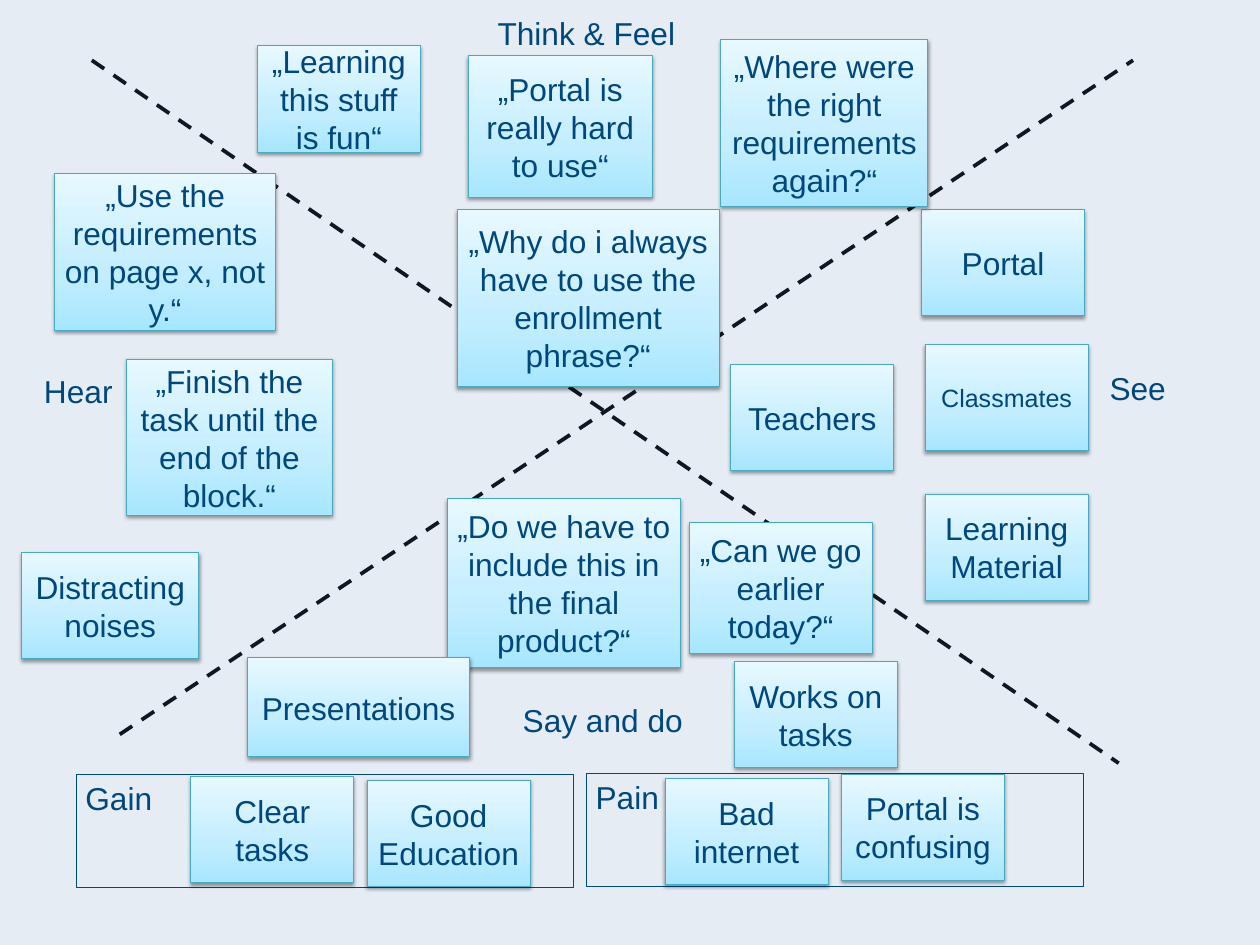
from copy import deepcopy
from lxml import etree
from pptx import Presentation
from pptx.dml.color import RGBColor
from pptx.enum.dml import MSO_LINE
from pptx.enum.shapes import MSO_CONNECTOR, MSO_SHAPE
from pptx.enum.text import MSO_ANCHOR, PP_ALIGN
from pptx.oxml import parse_xml
from pptx.oxml.ns import qn
from pptx.util import Inches, Pt

RECT = MSO_SHAPE.RECTANGLE
STRAIGHT = MSO_CONNECTOR.STRAIGHT
DASH = MSO_LINE.DASH
TOP, MIDDLE = MSO_ANCHOR.TOP, MSO_ANCHOR.MIDDLE
LEFT, CENTER = PP_ALIGN.LEFT, PP_ALIGN.CENTER

PAPER = RGBColor(0xE5, 0xEC, 0xF3)
INK = RGBColor(0x0F, 0x18, 0x20)
NAVY = RGBColor(0x00, 0x47, 0x7E)
TEAL = RGBColor(0x46, 0xAA, 0xC5)
DEEP = RGBColor(0xA7, 0xE6, 0xFF)
MID = RGBColor(0xC1, 0xED, 0xFF)
PALE = RGBColor(0xE7, 0xF8, 0xFF)

SHADE = (
    '<a:outerShdw xmlns:a="http://schemas.openxmlformats.org/drawingml/2006/main"'
    ' blurRad="39400" dist="20300" dir="5400000" rotWithShape="0">'
    '<a:srgbClr val="000000"><a:alpha val="38000"/></a:srgbClr></a:outerShdw>'
)

deck = Presentation()
deck.slide_width, deck.slide_height = Inches(14), Inches(10.5)
slide = deck.slides.add_slide(deck.slide_layouts[6])
slide.background.fill.solid()
slide.background.fill.fore_color.rgb = PAPER
shapes = slide.shapes

# The slide is a grid of 140 columns by 105 rows.
COL, ROW = deck.slide_width / 140, deck.slide_height / 105


def place(x, y, wide, high):
    """Turn grid columns and rows into slide lengths."""
    return [round(n * unit) for n, unit in zip((x, y, wide, high), (COL, ROW, COL, ROW))]


def write(shape, text, align, anchor, size=25.3):
    frame = shape.text_frame
    frame.word_wrap = True
    frame.vertical_anchor = anchor
    frame.text = text
    para = frame.paragraphs[0]
    para.alignment = align
    font = para.runs[0].font
    font.name, font.size, font.color.rgb = "Arial", Pt(size), NAVY


# Diagonals between the four fields
for ends in [(10.2, 6.7, 124.3, 84.8), (13.3, 81.6, 125.9, 6.7)]:
    link = shapes.add_connector(STRAIGHT, *place(*ends))
    link.line.color.rgb = INK
    link.line.width = Pt(3)
    link.line.dash_style = DASH
    etree.SubElement(link._element.spPr, qn("a:effectLst"))

# Gain and pain frames
for text, x, y in [("Gain", 8.5, 86), ("Pain", 65.2, 85.9)]:
    box = shapes.add_shape(RECT, *place(x, y, 55.2, 12.6))
    box.shadow.inherit = False
    box.fill.background()
    box.line.color.rgb = NAVY
    box.line.width = Pt(0.75)
    write(box, text, LEFT, TOP)

# Field names
for text, x, y, wide in [
    ("Think & Feel", 54.3, 1, 25.9),
    ("See", 122.3, 40.5, 17),
    ("Say and do", 57.1, 77.4, 25.9),
    ("Hear", 3.9, 40.8, 25.9),
]:
    write(shapes.add_textbox(*place(x, y, wide, 5.3)), text, LEFT, TOP)

# Sticky notes: text, left, top, width, height
SMALL = (18.1, 11.8)
NOTES = [
    ("„Learning this stuff is fun“", 28.6, 5.1, *SMALL),
    ("„Portal is really hard to use“", 52, 6.2, 20.5, 15.7),
    ("Portal", 102.4, 23.3, *SMALL),
    ("Classmates", 102.8, 38.3, *SMALL),
    ("Learning Material", 102.8, 54.9, *SMALL),
    ("„Use the requirements on page x, not y.“", 6.1, 19.3, 24.5, 17.4),
    ("Teachers", 81.2, 40.5, *SMALL),
    ("„Finish the task until the end of the block.“", 14.1, 39.9, 22.8, 17.4),
    ("„Do we have to include this in the final product?“", 49.7, 55.4, 25.9, 18.8),
    ("Works on tasks", 81.6, 73.5, *SMALL),
    ("Bad internet", 73.9, 86.5, *SMALL),
    ("Portal is confusing", 93.5, 86, *SMALL),
    ("Clear tasks", 21.2, 86.3, *SMALL),
    ("Good Education", 40.8, 86.7, *SMALL),
    ("„Where were the right requirements again?“", 80.1, 4.4, 23, 18.5),
    ("Distracting noises", 2.4, 61.4, 19.7, 11.8),
    ("Presentations", 27.5, 73.1, 24.7, 11),
    ("„Why do i always have to use the enrollment phrase?“", 50.8, 23.3, 29.1, 19.7),
    ("„Can we go earlier today?“", 76.6, 58.1, 20.3, 14.5),
]
for text, *spot in NOTES:
    note = shapes.add_shape(RECT, *place(*spot))
    note.fill.gradient()
    note.fill.gradient_angle = 90
    stops = note._element.spPr.find(".//" + qn("a:gsLst"))
    stops.insert(1, deepcopy(stops[0]))
    for stop, tint, share in zip(note.fill.gradient_stops, (DEEP, MID, PALE), (0, 0.35, 1)):
        stop.color.rgb = tint
        stop.position = share
    note.line.color.rgb = TEAL
    note.line.width = Pt(0.75)
    note.shadow.inherit = False
    note._element.spPr.find(qn("a:effectLst")).append(parse_xml(SHADE))
    write(note, text, CENTER, MIDDLE, 20 if text == "Classmates" else 25.3)

deck.save("out.pptx")
